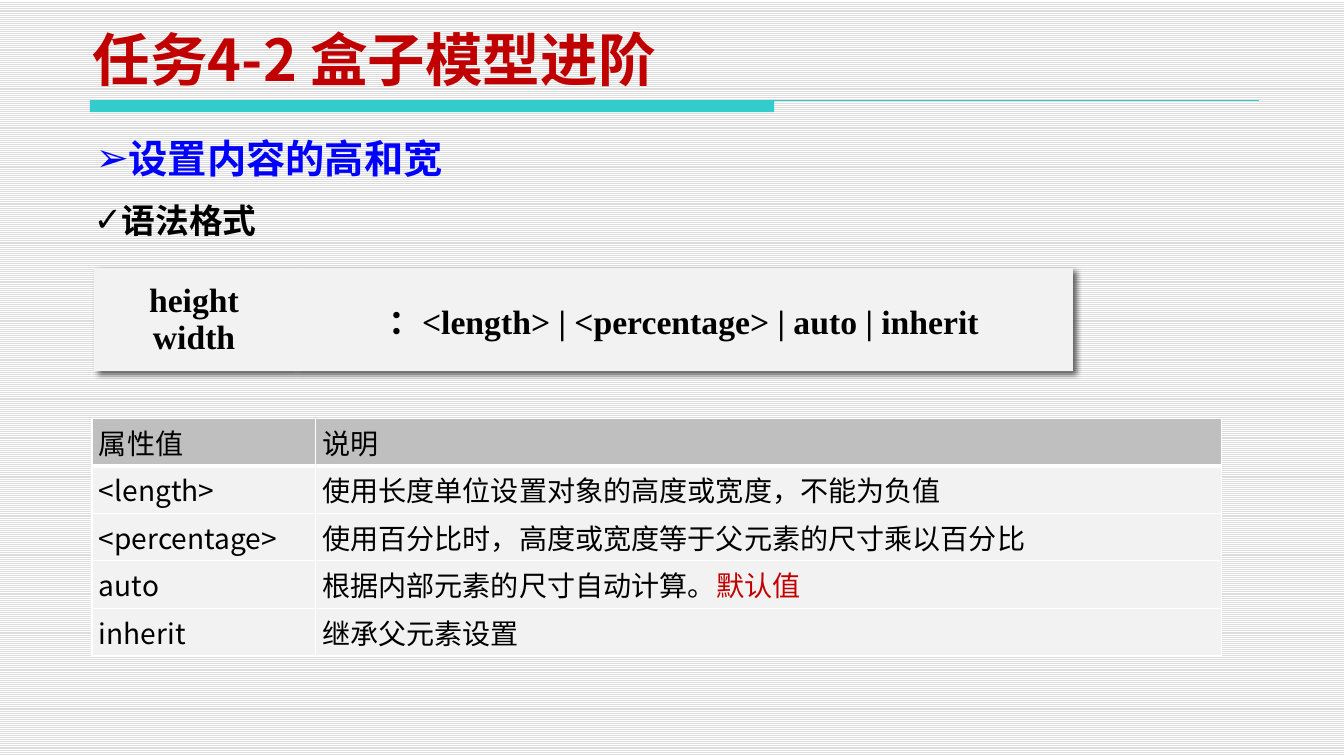
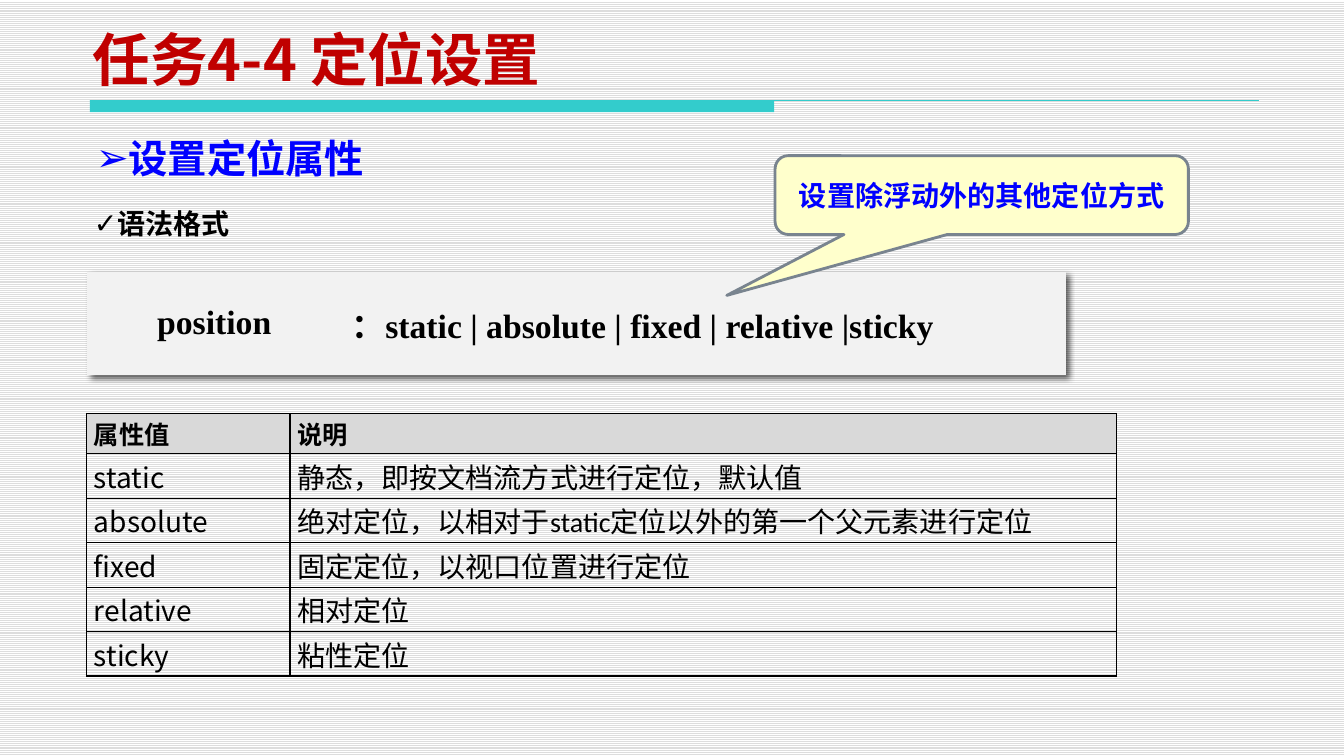
from lxml import etree
from pptx import Presentation
from pptx.dml.color import RGBColor as RGB
from pptx.enum.dml import MSO_PATTERN as Pat
from pptx.enum.shapes import MSO_CONNECTOR as Link, MSO_SHAPE as Kind
from pptx.enum.text import MSO_ANCHOR as Anchor, PP_ALIGN as Align
from pptx.oxml import parse_xml
from pptx.oxml.ns import nsdecls, qn
from pptx.util import Inches, Pt

# Content
DECK = [
    {
        "title": "任务4-2 盒子模型进阶",
        "head": "设置内容的高和宽",
        "sub": ("语法格式", 19.3, 5, 24),
        "rule": {
            "at": (9.3, 26.5), "cols": (19.8, 77.1), "align": Align.CENTER,
            "cells": ("height\nwidth", "：<length> | <percentage> | auto | inherit"),
        },
        "grid": {
            "at": (9.1, 41.4), "cols": (22.1, 89.7), "rows": (4.7, 4.7),
            "top": "gray", "body": "pale", "edge": "white", "bar": 3,
            "head": {"size": 20, "face": "Noto Sans CJK SC"},
            "faces": ("Noto Sans CJK SC", "Noto Sans CJK SC"),
            "cells": [
                ("属性值", "说明"),
                ("<length>", "使用长度单位设置对象的高度或宽度，不能为负值"),
                ("<percentage>", "使用百分比时，高度或宽度等于父元素的尺寸乘以百分比"),
                ("auto", "根据内部元素的尺寸自动计算。|默认值"),
                ("inherit", "继承父元素设置"),
            ],
        },
    },
    {
        "title": "任务4-4 定位设置",
        "head": "设置定位属性",
        "sub": ("语法格式", 19.9, 4.4, 20),
        "rule": {
            "at": (8.6, 26.9), "cols": (25.2, 71.7), "align": Align.LEFT,
            "cells": ("position", "：static | absolute | fixed | relative |sticky"),
        },
        "grid": {
            "at": (8.6, 40.9), "cols": (20.1, 81.8), "rows": (4, 4.4),
            "top": "silver", "body": None, "edge": "black", "bar": 1,
            "head": {"size": 18, "face": "Calibri", "bold": True},
            "faces": ("Noto Sans CJK SC", "Calibri"),
            "cells": [
                ("属性值", "说明"),
                ("static", "静态，即按文档流方式进行定位，默认值"),
                ("absolute", "绝对定位，以相对于static定位以外的第一个父元素进行定位"),
                ("fixed", "固定定位，以视口位置进行定位"),
                ("relative", "相对定位"),
                ("sticky", "粘性定位"),
            ],
        },
        "note": "设置除浮动外的其他定位方式",
    },
]

# Shared look
HUE = {
    "teal": "33CCCC", "red": "C00000", "blue": "0000FF", "black": "000000",
    "white": "FFFFFF", "stripe": "DDDDDD", "pale": "F2F2F2", "gray": "BFBFBF",
    "silver": "D9D9D9", "cream": "FFFFCC", "slate": "79848F",
}
HAN = "Noto Sans CJK SC"
TITLE = {"size": 41, "face": HAN, "hue": "red", "bold": True}
HEAD = {"size": 28, "face": "DejaVu Sans", "hue": "blue", "bold": True}
CODE = {"size": 24, "face": "Times New Roman", "bold": True}
NOTE = {"size": 20, "face": HAN, "hue": "blue", "bold": True}
PLAIN = "{2D5ABB26-0587-4C30-8999-92F81FD0307C}"
SHADE = (
    f'<a:effectLst {nsdecls("a")}><a:outerShdw blurRad="50800" dist="38100" '
    'dir="2700000" algn="tl" rotWithShape="0"><a:srgbClr val="000000">'
    '<a:alpha val="60000"/></a:srgbClr></a:outerShdw></a:effectLst>'
)


def unit(n):
    """Ten grid columns or rows to the inch."""
    return Inches(n / 10)


def color(name):
    return RGB.from_string(HUE[name])


def paint(fill, name):
    if name:
        fill.solid()
        fill.fore_color.rgb = color(name)
    else:
        fill.background()


def style(run, size, face, hue="black", bold=False):
    for key, val in {"size": Pt(size), "name": face, "bold": bold}.items():
        setattr(run.font, key, val)
    run.font.color.rgb = color(hue)
    east = etree.SubElement(run.font._element, qn("a:ea"))
    east.set("typeface", HAN)


def write(frame, text, look, align=Align.LEFT, mark=None):
    """Lines part at a newline; what follows a bar without spaces is red."""
    for i, line in enumerate(text.split("\n")):
        para = frame.paragraphs[0] if i == 0 else frame.add_paragraph()
        para.alignment = align
        if mark:
            props = para._p.get_or_add_pPr()
            etree.SubElement(props, qn("a:buFont")).set("typeface", "DejaVu Sans")
            etree.SubElement(props, qn("a:buChar")).set("char", mark)
        parts = line.split("。|")
        for j, part in enumerate(parts):
            run = para.add_run()
            run.text = part + ("。" if j < len(parts) - 1 else "")
            style(run, **(look | {"hue": "red"} if j else look))


def label(slide, at, text, look, anchor=Anchor.MIDDLE, mark=None):
    frame = slide.shapes.add_textbox(*map(unit, at)).text_frame
    frame.word_wrap = True
    frame.vertical_anchor = anchor
    write(frame, text, look, mark=mark)


def table(slide, at, cols, rows):
    frame = slide.shapes.add_table(
        len(rows), len(cols), *map(unit, (*at, sum(cols), sum(rows))))
    tbl = frame.table
    for col, wide in zip(tbl.columns, cols):
        col.width = unit(wide)
    for row, tall in zip(tbl.rows, rows):
        row.height = unit(tall)
    props = tbl._tbl.tblPr
    props.find(qn("a:tableStyleId")).text = PLAIN
    return tbl


def edges(cell, hue, wide):
    props = cell._tc.get_or_add_tcPr()
    for side, pts in wide.items():
        props.append(parse_xml(
            f'<a:ln{side} {nsdecls("a")} w="{Pt(pts)}"><a:solidFill>'
            f'<a:srgbClr val="{HUE[hue]}"/></a:solidFill></a:ln{side}>'))


def rule(slide, at, cols, align, cells):
    """Syntax panel with a soft shadow."""
    tbl = table(slide, at, cols, (10.2,))
    tbl._tbl.tblPr.insert(0, parse_xml(SHADE))
    for cell, text, side in zip(tbl.rows[0].cells, cells, (Align.CENTER, align)):
        paint(cell.fill, "pale")
        cell.vertical_anchor = Anchor.MIDDLE
        write(cell.text_frame, text, CODE, side)


def grid(slide, at, cols, rows, top, body, edge, bar, head, faces, cells):
    """Table of values and what they mean."""
    first, rest = rows
    tbl = table(slide, at, cols, [first] + [rest] * (len(cells) - 1))
    for r, row in enumerate(cells):
        for c, text in enumerate(row):
            cell = tbl.cell(r, c)
            edges(cell, edge, {"L": 1, "R": 1, "T": bar if r == 1 else 1,
                               "B": bar if r == 0 else 1})
            paint(cell.fill, body if r else top)
            for key, val in {"left": 0.7, "right": 0.7, "top": 0, "bottom": 0}.items():
                setattr(cell, "margin_" + key, unit(val))
            cell.vertical_anchor = Anchor.MIDDLE
            write(cell.text_frame, text, {"size": 20, "face": faces[c]} if r else head)


def note(slide, text):
    box = slide.shapes.add_shape(
        Kind.ROUNDED_RECTANGULAR_CALLOUT, *map(unit, (76.7, 15.4, 40.9, 7.8)))
    for i, val in enumerate((-0.617, 1.273, 0.167)):
        box.adjustments[i] = val
    box.shadow.inherit = False
    paint(box.fill, "cream")
    box.line.color.rgb = color("slate")
    box.line.width = Pt(2)
    box.text_frame.word_wrap = True
    box.text_frame.vertical_anchor = Anchor.MIDDLE
    write(box.text_frame, text, NOTE, Align.CENTER)


def master(deck, slide):
    """Striped ground and teal band, kept on the slide master."""
    fill = deck.slide_master.background.fill
    fill.patterned()
    fill.pattern = Pat.LIGHT_HORIZONTAL
    fill.fore_color.rgb = color("stripe")
    fill.back_color.rgb = color("white")
    band = slide.shapes.add_shape(Kind.RECTANGLE, *map(unit, (8.9, 9.9, 67.7, 1.2)))
    band.shadow.inherit = False
    paint(band.fill, "teal")
    band.line.fill.background()
    line = slide.shapes.add_connector(Link.STRAIGHT, *map(unit, (8.9, 9.9, 124.6, 9.9)))
    line.line.color.rgb = color("teal")
    line.line.width = Pt(0.75)
    etree.SubElement(line._element.spPr, qn("a:effectLst"))
    for part in (band, line):
        deck.slide_master.shapes._spTree.append(part._element)


def main():
    deck = Presentation()
    deck.slide_width, deck.slide_height = unit(133), unit(74.8)
    for i, page in enumerate(DECK):
        slide = deck.slides.add_slide(deck.slide_layouts[6])
        if i == 0:
            master(deck, slide)
        label(slide, (8.2, 2.8, 80.3, 6.9), page["title"], TITLE, Anchor.BOTTOM)
        label(slide, (8.5, 12.8, 86.6, 5.7), page["head"], HEAD, mark="➢")
        text, top, tall, size = page["sub"]
        label(slide, (8.3, top, 73.3, tall), text, CODE | {"size": size}, mark="✓")
        rule(slide, **page["rule"])
        grid(slide, **page["grid"])
        if "note" in page:
            note(slide, page["note"])
    deck.save("out.pptx")


if __name__ == "__main__":
    main()
